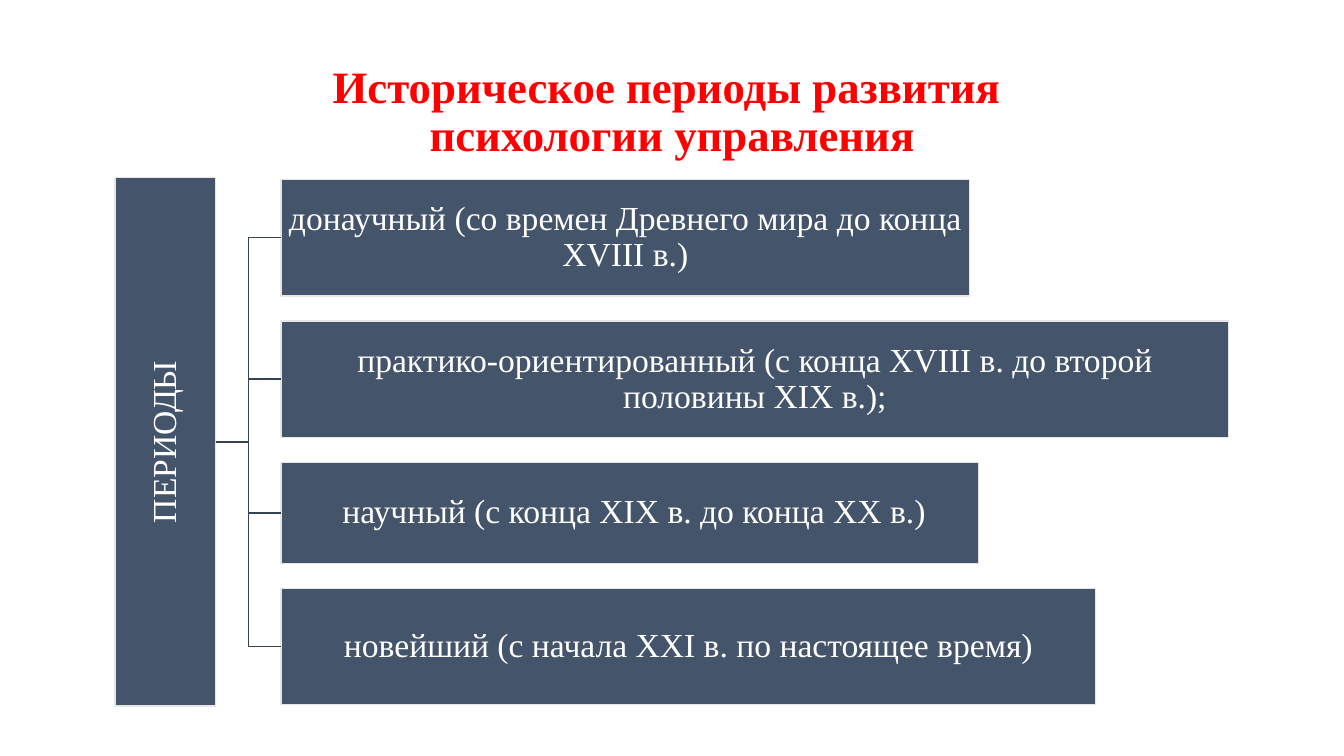
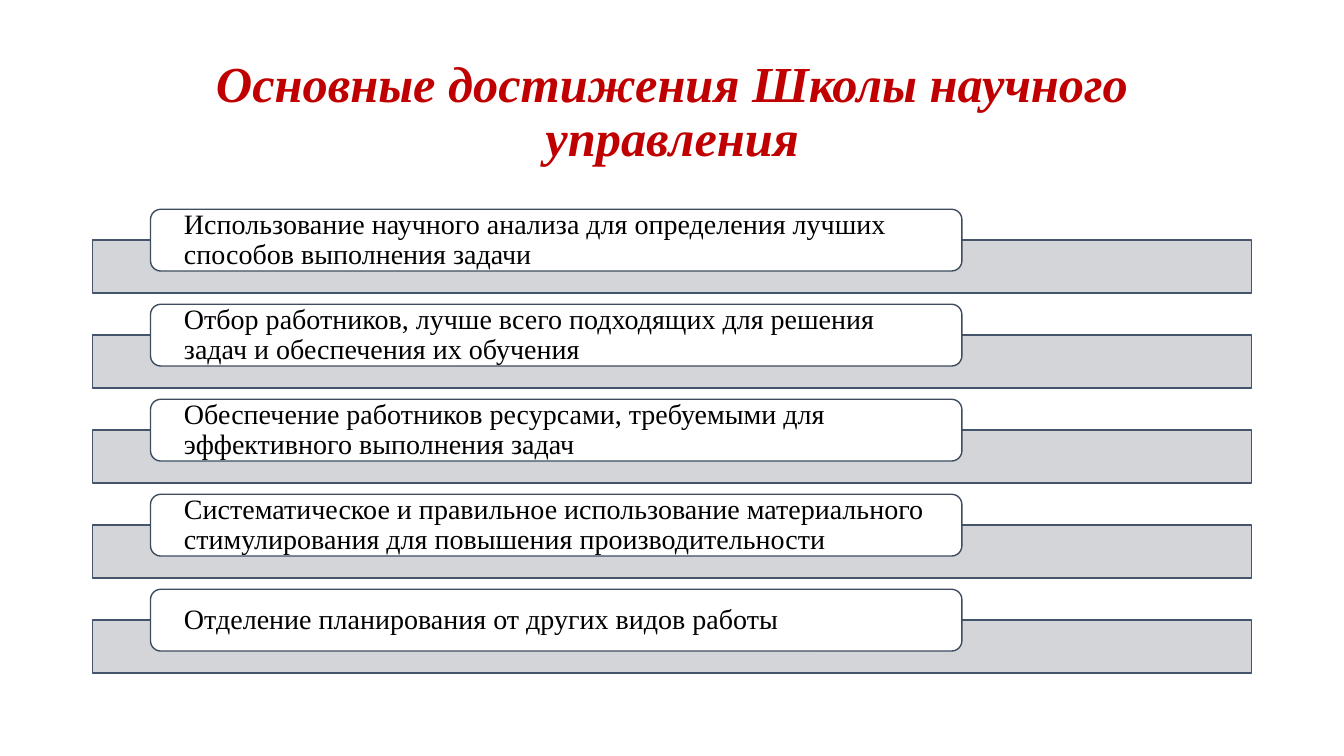
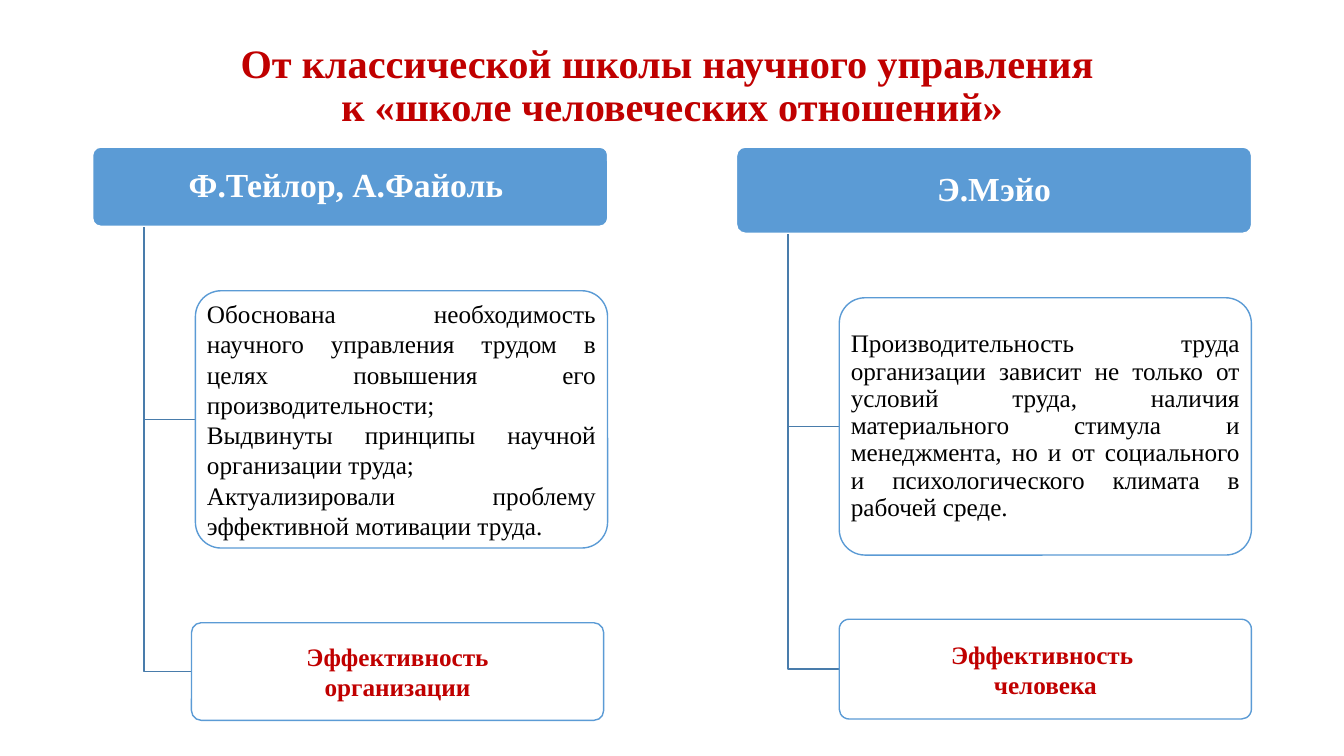
from lxml.etree import SubElement
from pptx import Presentation
from pptx.dml.color import RGBColor
from pptx.enum.shapes import MSO_CONNECTOR, MSO_SHAPE
from pptx.enum.text import MSO_ANCHOR, PP_ALIGN
from pptx.oxml.ns import qn
from pptx.util import Pt

FONT = "Times New Roman"
WHITE, BLACK, RED, DARK_RED = "FFFFFF", "000000", "FF0000", "C00000"
SLATE, SLATE_LINE, PALE_LINE = "44546A", "364355", "E7E6E6"
BAND, CARD_LINE = "CFD1D4", "3E4C60"
BLUE, BLUE_LINE = "5B9BD5", "497CAB"
MARGIN, CONTENT_WIDTH, TITLE_TOP = 66.2, 828, 28.7


def set_line(shape, color):
    shape.line.color.rgb = RGBColor.from_string(color)
    shape.line.width = Pt(1)


def add_box(slide, preset, at, fill=None, line=None, paragraphs=(), size=24,
            color=BLACK, bold=False, italic=False, align=PP_ALIGN.CENTER,
            spacing=0.9, inset=(7.2, 3.6)):
    """Add a preset shape, or a plain text box when preset is None."""
    at = [Pt(length) for length in at]
    if preset is None:
        box = slide.shapes.add_textbox(*at)
    else:
        box = slide.shapes.add_shape(preset, *at)
        box.shadow.inherit = False
        box.fill.solid()
        box.fill.fore_color.rgb = RGBColor.from_string(fill)
        set_line(box, line)
    frame = box.text_frame
    frame.word_wrap = True
    frame.vertical_anchor = MSO_ANCHOR.MIDDLE
    frame.margin_left = frame.margin_right = Pt(inset[0])
    frame.margin_top = frame.margin_bottom = Pt(inset[1])
    for index, text in enumerate(paragraphs):
        paragraph = frame.add_paragraph() if index else frame.paragraphs[0]
        paragraph.text = text
        paragraph.alignment = align
        paragraph.line_spacing = spacing
        font = paragraph.font
        font.name, font.size = FONT, Pt(size)
        font.bold, font.italic = bold, italic
        font.color.rgb = RGBColor.from_string(color)
    return box


prs = Presentation()
prs.slide_width, prs.slide_height = Pt(960), Pt(540)
blank = prs.slide_layouts[6]

titles = [
    ("Историческое периоды развития \nпсихологии управления", 32, RED, False, 104.4),
    ("Основные достижения Школы научного управления", 36, DARK_RED, True, 104.4),
    ("От классической школы научного управления \nк «школе человеческих отношений»",
     28.8, DARK_RED, False, 67),
]
slides = []
for title, size, color, italic, height in titles:
    slide = prs.slides.add_slide(blank)
    add_box(slide, None, (MARGIN, TITLE_TOP, CONTENT_WIDTH, height),
            paragraphs=[title], size=size, color=color, bold=True, italic=italic)
    slides.append(slide)
periods_slide, achievements_slide, schools_slide = slides

# Periods of development
slate_style = dict(fill=SLATE, line=PALE_LINE, color=WHITE, inset=(1.8, 1.8))
root = add_box(periods_slide, MSO_SHAPE.RECTANGLE, (82.1, 127, 72, 377.4),
               paragraphs=["ПЕРИОДЫ"], **slate_style)
root.text_frame._txBody.bodyPr.set("vert", "vert270")
periods = [
    ("донаучный (со времен Древнего мира до конца XVIII в.)", 491.6, 82.9),
    ("практико-ориентированный (с конца XVIII в. до второй половины XIX в.);",
     676.8, 82.9),
    (" научный (с конца XIX в. до конца XX в.)", 498.2, 72),
    ("новейший (с начала XXI в. по настоящее время)", 581.8, 82.9),
]
PERIOD_LEFT, PERIOD_GAP = 200.8, 18.1
top = 128.4
for text, width, height in periods:
    period = add_box(periods_slide, MSO_SHAPE.RECTANGLE,
                     (PERIOD_LEFT, top, width, height),
                     paragraphs=[text], **slate_style)
    branch = periods_slide.shapes.add_connector(
        MSO_CONNECTOR.ELBOW, Pt(154.1), Pt(315.7),
        Pt(PERIOD_LEFT), Pt(top + height / 2))
    set_line(branch, SLATE_LINE)
    SubElement(branch._element.spPr, qn("a:effectLst"))
    branch.begin_connect(root, 3)
    branch.end_connect(period, 1)
    top += height + PERIOD_GAP

# Achievements of the school
achievements = [
    "Использование научного анализа для определения лучших способов выполнения задачи",
    "Отбор работников, лучше всего подходящих для решения задач и обеспечения их обучения",
    "Обеспечение работников ресурсами, требуемыми для эффективного выполнения задач",
    "Систематическое и правильное использование материального стимулирования "
    "для повышения производительности",
    "Отделение планирования от других видов работы",
]
for row, text in enumerate(achievements):
    top = 149.5 + row * 67.86
    band = add_box(achievements_slide, MSO_SHAPE.RECTANGLE,
                   (MARGIN, top + 21.9, CONTENT_WIDTH, 37.8), BAND, SLATE)
    band_color = band.fill._xPr.find(qn("a:solidFill"))[0]
    SubElement(band_color, qn("a:alpha"), val="90000")
    add_box(achievements_slide, MSO_SHAPE.ROUNDED_RECTANGLE,
            (107.5, top, 579.6, 44.1), WHITE, CARD_LINE, [text], size=20,
            align=PP_ALIGN.LEFT, inset=(21.8, 0))

# From the classical school to human relations
HEADER_TOP, BODY_HEIGHT, CARD_WIDTH = 105.1, 183.8, 294.4
TRUNK_INDENT, BODY_INDENT = 36.7, 73.4
schools = [
    dict(left=MARGIN, header="Ф.Тейлор, А.Файоль ", header_height=56.5,
         body=["Обоснована необходимость научного управления трудом в целях "
               "повышения его производительности;",
               "Выдвинуты принципы научной организации труда;",
               "Актуализировали проблему эффективной мотивации труда."],
         spacing=1.0, result=["Эффективность", "организации"],
         result_indent=70.6, result_top=444.8, result_height=69.7),
    dict(left=526.1, header="Э.Мэйо", header_height=61.5,
         body=["Производительность труда организации зависит не только от условий "
               "труда, наличия материального стимула и менеджмента, но и от "
               "социального и психологического климата в рабочей среде. "],
         spacing=0.9, result=["Эффективность ", "человека"],
         result_indent=BODY_INDENT, result_top=442.3, result_height=71.3),
]
for school in schools:
    left = school["left"]
    header_bottom = HEADER_TOP + school["header_height"]
    body_at = (left + BODY_INDENT, header_bottom + 46.1, CARD_WIDTH, BODY_HEIGHT)
    result_at = (left + school["result_indent"], school["result_top"],
                 CARD_WIDTH, school["result_height"])

    trunk_x = left + TRUNK_INDENT
    for card_left, card_top, _, card_height in (body_at, result_at):
        middle = card_top + card_height / 2
        outline = schools_slide.shapes.build_freeform(Pt(trunk_x), Pt(header_bottom))
        outline.add_line_segments([(Pt(trunk_x), Pt(middle)),
                                   (Pt(card_left), Pt(middle))], close=False)
        branch = outline.convert_to_shape()
        branch.shadow.inherit = False
        branch.fill.background()
        set_line(branch, BLUE_LINE)

    header = add_box(schools_slide, MSO_SHAPE.ROUNDED_RECTANGLE,
                     (left, HEADER_TOP, 367.9, school["header_height"]), BLUE, WHITE,
                     [school["header"]], color=WHITE, bold=True, inset=(3.6, 2.2))
    body = add_box(schools_slide, MSO_SHAPE.ROUNDED_RECTANGLE, body_at, WHITE, BLUE,
                   school["body"], size=18, align=PP_ALIGN.JUSTIFY,
                   spacing=school["spacing"], inset=(2.9, 2.2))
    result = add_box(schools_slide, MSO_SHAPE.ROUNDED_RECTANGLE, result_at, WHITE, BLUE,
                     school["result"], size=18, color=DARK_RED, bold=True,
                     spacing=1.0, inset=(2.9, 2.2))
    for card in (header, body, result):
        card.adjustments[0] = 0.1

prs.save("out.pptx")
